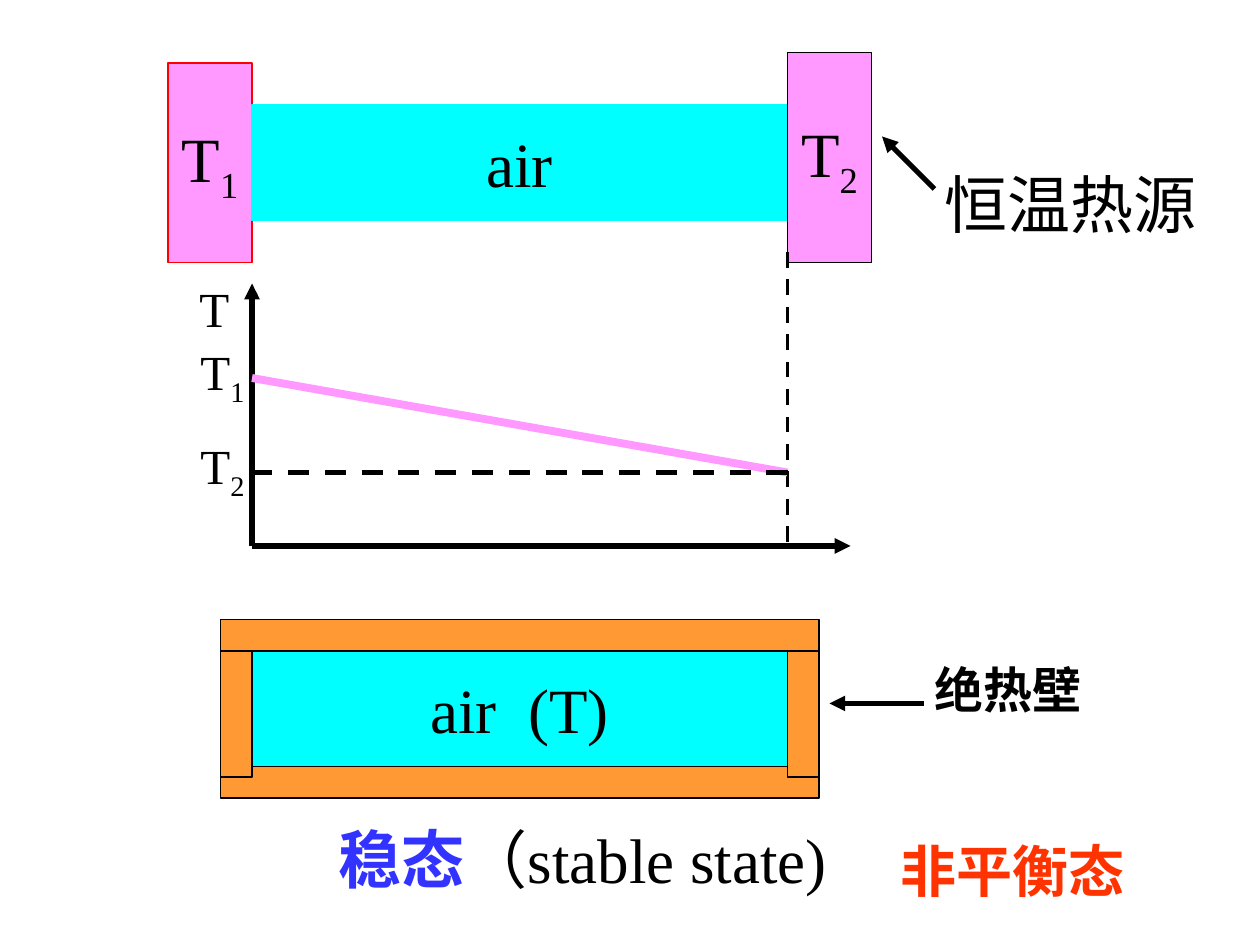
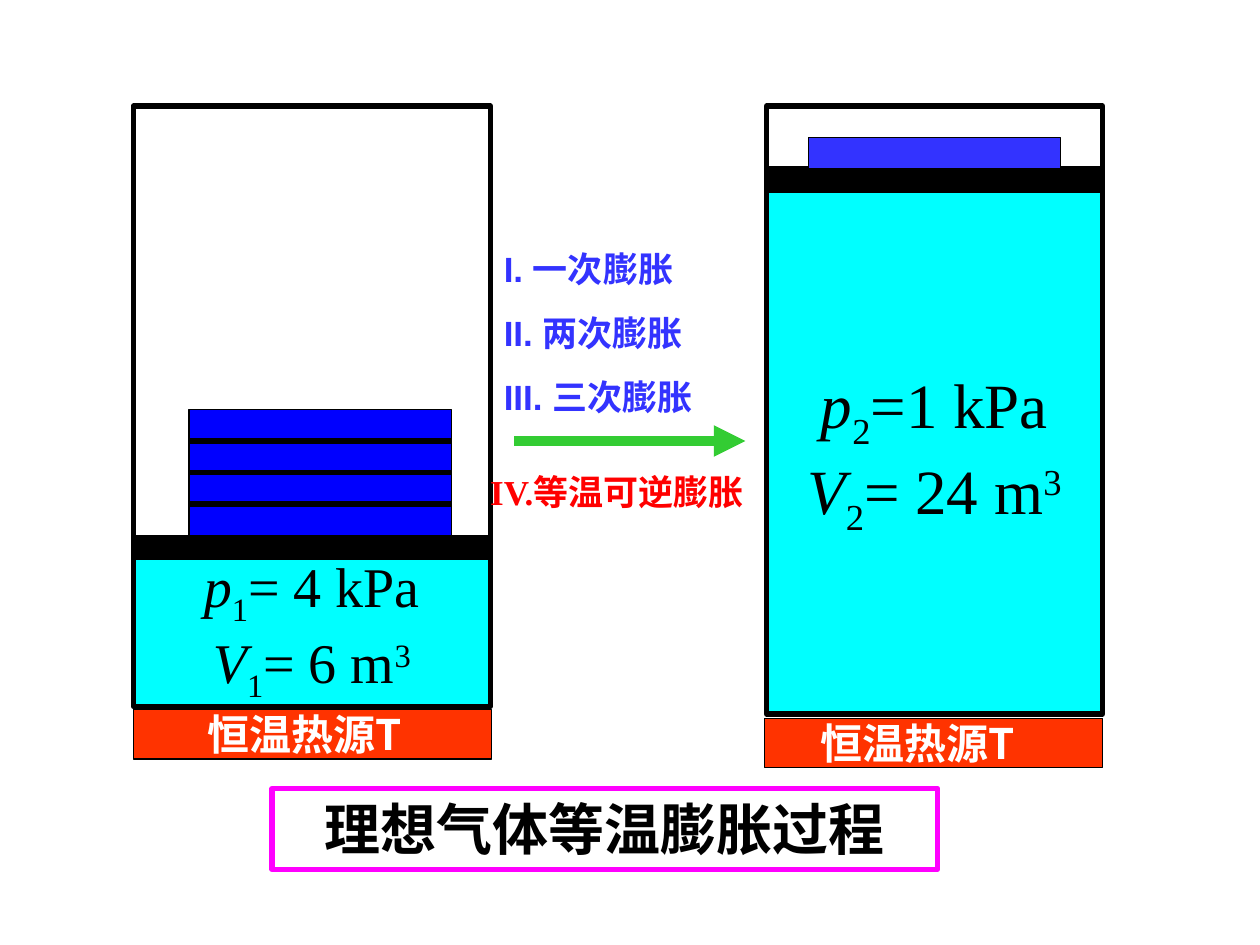
from lxml import etree
from pptx import Presentation
from pptx.dml.color import RGBColor
from pptx.enum.dml import MSO_LINE
from pptx.enum.shapes import MSO_CONNECTOR, MSO_SHAPE
from pptx.enum.text import MSO_ANCHOR, MSO_AUTO_SIZE, PP_ALIGN
from pptx.oxml.ns import qn
from pptx.util import Inches, Pt

RECT, STRAIGHT, DASH = MSO_SHAPE.RECTANGLE, MSO_CONNECTOR.STRAIGHT, MSO_LINE.DASH
LEFT, CENTER = PP_ALIGN.LEFT, PP_ALIGN.CENTER
TOP, MIDDLE, GROW = MSO_ANCHOR.TOP, MSO_ANCHOR.MIDDLE, MSO_AUTO_SIZE.SHAPE_TO_FIT_TEXT

BLACK, WHITE, AIR, PINK = "000000", "FFFFFF", "00FFFF", "FF99FF"
BLUE, RED, WALL, HEAT = "3333FF", "FF0000", "FF9933", "FF3300"
SERIF, SANS, CJK = "Times New Roman", "Arial", "Noto Sans CJK SC"
SUB, SUP, ITALIC = {"base": -25}, {"base": 30}, {"italic": True}

prs = Presentation()
prs.slide_width, prs.slide_height = Inches(10), Inches(7.5)
U = prs.slide_width / 120  # grid of 120 columns by 90 rows


def box(s, x, y, w, h, text=None, fill=None, line=None, width=0.75, size=36, font=SERIF,
        color=BLACK, bold=False, align=LEFT, anchor=TOP, wrap=False, grow=False, before=0):
    """Rectangle or text box; text is a string or paragraphs of (text, format) runs."""
    at = [round(v * U) for v in (x, y, w, h)]
    if fill or line:
        sp = s.shapes.add_shape(RECT, *at)
        sp.shadow.inherit = False
        sp.fill.background()
        if fill:
            sp.fill.solid()
            sp.fill.fore_color.rgb = RGBColor.from_string(fill)
        sp.line.color.rgb = RGBColor.from_string(line)
        sp.line.width = Pt(width)
    else:
        sp = s.shapes.add_textbox(*at)
    if not text:
        return sp
    tf = sp.text_frame
    tf.word_wrap, tf.vertical_anchor = wrap, anchor
    if grow:
        tf.auto_size = GROW
    for i, runs in enumerate([[(text, {})]] if isinstance(text, str) else text):
        p = tf.add_paragraph() if i else tf.paragraphs[0]
        p.alignment = align
        if i and before:
            p.space_before = Pt(before)
        for words, fmt in runs:
            r = p.add_run()
            r.text = words
            r.font.size, r.font.name = Pt(size), fmt.get("font", font)
            r.font.bold, r.font.italic = fmt.get("bold", bold), fmt.get("italic", False)
            r.font.color.rgb = RGBColor.from_string(fmt.get("color", color))
            rpr = r._r.get_or_add_rPr()
            etree.SubElement(rpr, qn("a:ea")).set("typeface", CJK)
            if "base" in fmt:
                rpr.set("baseline", str(fmt["base"] * 1000))
    return sp


def connect(s, x1, y1, x2, y2, color=BLACK, width=3, dash=None, arrow=False):
    c = s.shapes.add_connector(STRAIGHT, *[round(v * U) for v in (x1, y1, x2, y2)])
    c.line.color.rgb = RGBColor.from_string(color)
    c.line.width = Pt(width)
    if dash:
        c.line.dash_style = dash
    if arrow:
        etree.SubElement(c.line._get_or_add_ln(), qn("a:tailEnd")).set("type", "triangle")
    etree.SubElement(c._element.spPr, qn("a:effectLst"))
    return c


blank = prs.slide_layouts[6]
inside = {"align": CENTER, "anchor": MIDDLE}

# Slide 1: air between two heat sources
s = prs.slides.add_slide(blank)
box(s, 16, 6, 8, 19, [[("T", {}), ("1", SUB)]], PINK, RED, **inside)
box(s, 24, 10, 51, 11, "air", AIR, AIR, **inside)
box(s, 75, 5, 8, 20, [[("T", {}), ("2", SUB)]], PINK, BLACK, **inside)

# Temperature profile
connect(s, 24, 52, 81, 52, arrow=True)
connect(s, 24, 52, 24, 27, arrow=True)
box(s, 17.8, 25.9, 5.3, 6.8, "T", size=28, grow=True)
connect(s, 75, 24, 75, 52, width=2.25, dash=DASH)
connect(s, 24, 36, 75, 45, PINK, 4.5)
connect(s, 75, 45, 24, 45, dash=DASH)
for i, n in enumerate("12"):
    box(s, 17.9, 31.9 + 9 * i, 6.6, 7.6, [[("T", {}), (n, SUB)]], size=28, grow=True)

# Insulated box
box(s, 24, 62, 51, 11, "air  (T)", AIR, BLACK, **inside)
for x, y, w, h in [(21, 59, 57, 3), (21, 73, 57, 3), (21, 62, 3, 12), (75, 62, 3, 12)]:
    box(s, x, y, w, h, fill=WALL, line=BLACK)

# Labels
box(s, 87.8, 62.2, 25.1, 6.8, "绝热壁", size=28, bold=True, wrap=True, grow=True)
connect(s, 88, 67, 79, 67, arrow=True)
box(s, 88.8, 15.2, 26.4, 8.4, "恒温热源", grow=True)
connect(s, 89, 18, 84, 13, arrow=True)
box(s, 31.1, 77.6, 50.3, 8.4,
    [[("稳态", {"bold": True, "color": BLUE}), ("（stable state)", {})]], grow=True)
box(s, 84.6, 79.1, 25.9, 7.7, "非平衡态", size=32, color=HEAT, bold=True, wrap=True, grow=True)

# Slide 2: cylinder before expansion
s = prs.slides.add_slide(blank)
box(s, 12.7, 52.3, 34, 15,
    [[("p", ITALIC), ("1", SUB), ("= 4 kPa", {})],
     [("V", ITALIC), ("1", SUB), ("= 6 m", {}), ("3", SUP)]],
    AIR, BLACK, 3, 32, **inside)
box(s, 12.7, 10.1, 34, 43, fill=WHITE, line=BLACK, width=3)
box(s, 12.6, 51, 34, 2, fill=BLACK, line=BLACK)
stack = box(s, 18, 39, 25, 12, fill="0000FF", line=BLACK)
seams = [connect(s, 18, y, 43, y) for y in (42, 45, 48)]
seams[1].begin_connect(stack, 1)
seams[1].end_connect(stack, 3)

# Cylinder after expansion
box(s, 73, 18, 32, 50,
    [[("p", ITALIC), ("2", SUB), ("=1 kPa", {})],
     [("V", ITALIC), ("2", SUB), ("= 24 m", {}), ("3", SUP)]],
    AIR, BLACK, 3, **inside)
box(s, 73, 16.1, 32, 2, fill=BLACK, line=BLACK, width=3)
box(s, 73, 10.1, 32, 6, fill=WHITE, line=BLACK, width=3)
box(s, 77, 13.1, 24, 3, fill=BLUE, line=BLACK)

# Title and expansion paths
connect(s, 49, 42, 71, 42, "33CC33", 6, arrow=True)
box(s, 25.9, 75.1, 63.4, 7.7, "理想气体等温膨胀过程", line="FF00FF", width=3, size=32,
    bold=True, align=CENTER, wrap=True, grow=True)
paths = ["I. 一次膨胀", "II. 两次膨胀", "III. 三次膨胀"]
box(s, 46.8, 23, 28.3, 17.4, [[(t, {})] for t in paths], size=20, font=SANS, color=BLUE,
    bold=True, wrap=True, grow=True, before=12.5)
box(s, 45.5, 44.2, 27.7, 5.3, [[("IV.", {}), ("等温可逆膨胀", {"font": CJK})]],
    size=20, color=RED, bold=True, grow=True)

# Heat sources under the cylinders
for x, y, w, text_x in [(12.7, 67.6, 34.1, 18.6), (72.8, 68.4, 32.2, 77)]:
    box(s, x, y, w, 4.7, fill=HEAT, line=BLACK)
    box(s, text_x, y - 0.7, 26.4, 6, "恒温热源T", size=24, font=CJK, color=WHITE,
        bold=True, wrap=True, grow=True)

prs.save("out.pptx")
